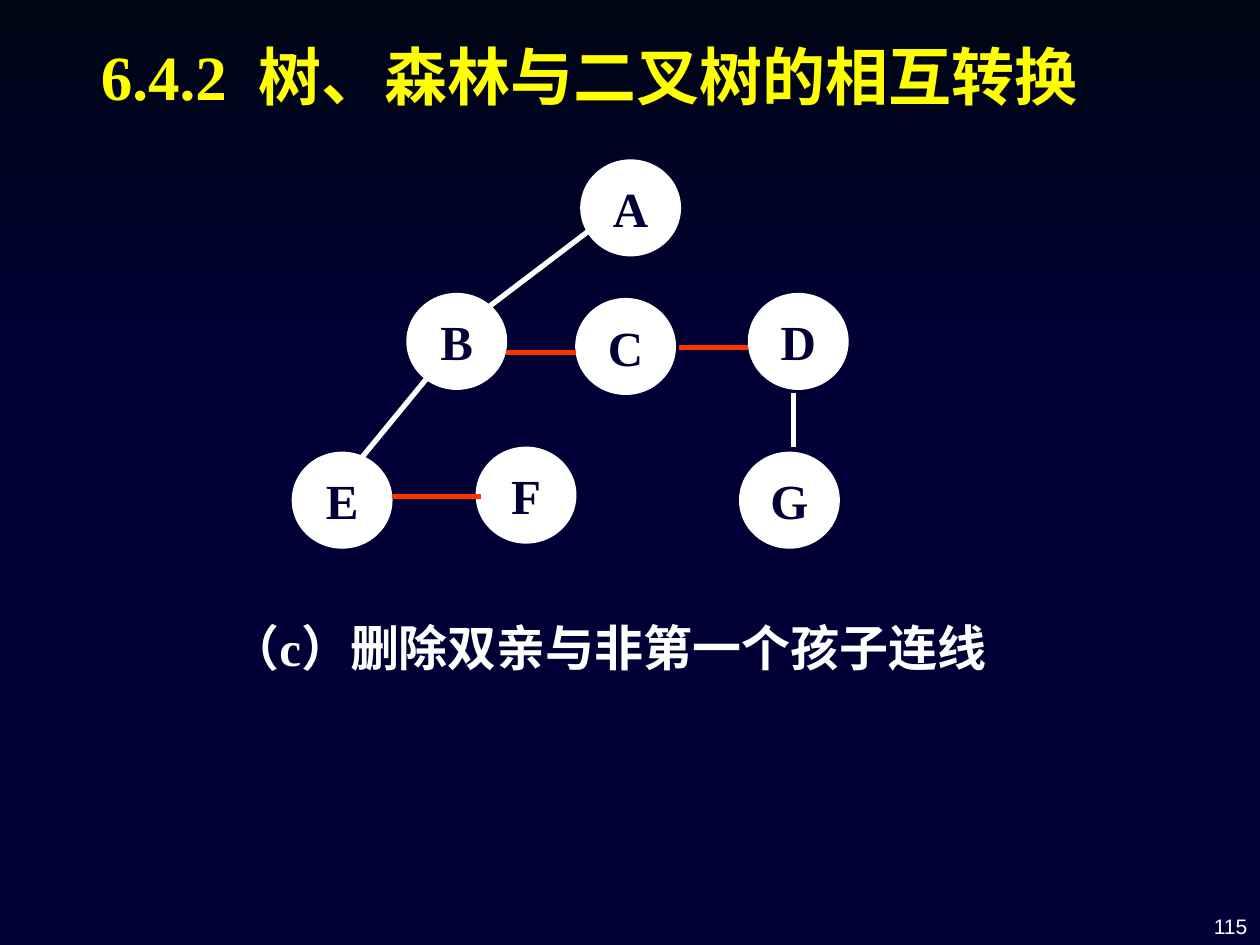
from dataclasses import dataclass

from pptx import Presentation
from pptx.dml.color import RGBColor
from pptx.enum.shapes import MSO_CONNECTOR, MSO_SHAPE
from pptx.enum.text import MSO_ANCHOR, PP_ALIGN
from pptx.oxml.ns import qn
from pptx.util import Inches, Length, Pt

ELLIPSE, RECT = MSO_SHAPE.OVAL, MSO_SHAPE.RECTANGLE
STRAIGHT = MSO_CONNECTOR.STRAIGHT
LEFT, CENTER, RIGHT = PP_ALIGN.LEFT, PP_ALIGN.CENTER, PP_ALIGN.RIGHT
TOP, MIDDLE, BOTTOM = MSO_ANCHOR.TOP, MSO_ANCHOR.MIDDLE, MSO_ANCHOR.BOTTOM

# The slide is a grid of 100 columns by 75 rows
COLS, ROWS = 100, 75
NODE_W, NODE_H = 7.9, 7.6
NAVY, DARK, WHITE, RED, YELLOW = "000036", "000032", "FFFFFF", "FF3300", "FFFF00"
SERIF, SANS = "Times New Roman", "Arial"

Point = tuple[float, float]


@dataclass
class Ribbon:
    start: str
    end: str
    angle: int
    corners: list[Point]


@dataclass
class Node:
    name: str
    col: float
    row: float


@dataclass
class Edge:
    start: Point
    end: Point
    color: str


@dataclass
class Label:
    text: str
    box: tuple[float, float, float, float]
    size: int
    color: str
    font: str = SERIF
    bold: bool = True
    align: PP_ALIGN = LEFT
    anchor: MSO_ANCHOR = TOP


# Corners are rounded off when a ribbon is drawn
RIBBONS = [
    Ribbon(NAVY, "000034", 0, [
        (78, 55), (57, 49), (57, 46), (59, 50), (81, 56), (74, 60),
        (47, 66), (30, 75), (36, 75), (56, 65), (80, 61)]),
    Ribbon(NAVY, "000034", 315, [
        (95, 55), (73, 50), (72, 46), (75, 51), (92, 56), (90, 61)]),
    Ribbon(DARK, NAVY, 270, [
        (50, 75), (57, 75), (68, 69), (100, 61), (100, 58), (68, 67)]),
    Ribbon("000033", NAVY, 315, [
        (77, 46), (83, 50), (78, 46), (100, 42), (100, 40), (80, 43)]),
    Ribbon(DARK, NAVY, 315, [
        (68, 43), (89, 40), (92, 31), (76, 23), (91, 32), (87, 38),
        (57, 42), (57, 48), (63, 50), (57, 46)]),
]

NODES = [
    Node("A", 46.1, 12.7),
    Node("B", 32.3, 23.3), Node("C", 45.7, 23.7), Node("D", 59.4, 23.3),
    Node("E", 23.2, 35.9), Node("F", 37.8, 35.5), Node("G", 58.7, 35.9),
]

EDGES = [
    Edge((46.9, 18.2), (38.6, 24.5), WHITE),
    Edge((33.9, 30), (28.4, 36.7), WHITE),
    Edge((63, 31.2), (63, 35.5), WHITE),
    Edge((40.2, 28), (45.7, 28), RED),
    Edge((53.9, 27.6), (59.4, 27.6), RED),
    Edge((31.1, 39.4), (38.2, 39.4), RED),
]

LABELS = [
    Label("6.4.2  树、森林与二叉树的相互转换", (6, 2.5, 81.5, 7.1), 36, YELLOW,
          align=CENTER),
    Label("（c）删除双亲与非第一个孩子连线", (18.3, 48.5, 69, 6.3), 28, WHITE),
    Label("115", (76.7, 69.8, 22.3, 5.2), 12, WHITE, SANS, False, RIGHT, BOTTOM),
]


def cell(n: float) -> Length:
    return Inches(n * 10 / COLS)


def rgb(color: str) -> RGBColor:
    return RGBColor.from_string(color)


def write(s, label: Label) -> None:
    tf = s.text_frame
    tf.word_wrap = True
    tf.vertical_anchor = label.anchor
    tf.margin_left = tf.margin_right = 0
    p = tf.paragraphs[0]
    p.text, p.alignment = label.text, label.align
    p.font.name, p.font.size = label.font, Pt(label.size)
    p.font.bold, p.font.color.rgb = label.bold, rgb(label.color)


def blend(s, start: str, end: str, angle: int) -> None:
    s.shadow.inherit = False
    s.line.fill.background()
    s.fill.gradient()
    s.fill.gradient_angle = angle
    for stop, color, position in zip(s.fill.gradient_stops, (start, end), (0, 1)):
        stop.color.rgb, stop.position = rgb(color), position


def rounded(corners: list[Point]) -> list[Point]:
    """Cut every corner, keeping those on the slide's edge."""
    points = []
    for i, (x, y) in enumerate(corners):
        if x == COLS or y == ROWS:
            points.append((x, y))
            continue
        for u, v in (corners[i - 1], corners[(i + 1) % len(corners)]):
            points.append((x + (u - x) / 4, y + (v - y) / 4))
    return points


def draw_ribbon(shapes, ribbon: Ribbon) -> None:
    outline = rounded(rounded(ribbon.corners))
    first, *rest = [(cell(x), cell(y)) for x, y in outline]
    builder = shapes.build_freeform(*first)
    builder.add_line_segments(rest, close=True)
    blend(builder.convert_to_shape(), ribbon.start, ribbon.end, ribbon.angle)


def draw_node(shapes, node: Node) -> None:
    box = (node.col, node.row, NODE_W, NODE_H)
    s = shapes.add_shape(ELLIPSE, *map(cell, box))
    s.shadow.inherit = False
    s.fill.solid()
    s.fill.fore_color.rgb = s.line.color.rgb = rgb(WHITE)
    s.line.width = Pt(0.75)
    s.text_frame.margin_top = s.text_frame.margin_bottom = 0
    write(s, Label(node.name, box, 28, NAVY, align=CENTER, anchor=MIDDLE))


def draw_edge(shapes, edge: Edge) -> None:
    s = shapes.add_connector(STRAIGHT, *map(cell, edge.start + edge.end))
    s.line.color.rgb, s.line.width = rgb(edge.color), Pt(3)
    spPr = s._element.spPr
    spPr.append(spPr.makeelement(qn("a:effectLst"), {}))


def main() -> None:
    prs = Presentation()
    prs.slide_width, prs.slide_height = cell(COLS), cell(ROWS)
    slide = prs.slides.add_slide(prs.slide_layouts[6])
    slide.background.fill.solid()
    slide.background.fill.fore_color.rgb = rgb(NAVY)

    # Backdrop: ribbons and the dark band across the top
    for ribbon in RIBBONS:
        draw_ribbon(slide.shapes, ribbon)
    band = slide.shapes.add_shape(RECT, 0, 0, cell(COLS), cell(30.8))
    blend(band, "000514", NAVY, 270)

    # Tree
    for node in NODES:
        draw_node(slide.shapes, node)
    for edge in EDGES:
        draw_edge(slide.shapes, edge)

    # Title, caption and slide number
    for label in LABELS:
        write(slide.shapes.add_textbox(*map(cell, label.box)), label)
    prs.save("out.pptx")


if __name__ == "__main__":
    main()
